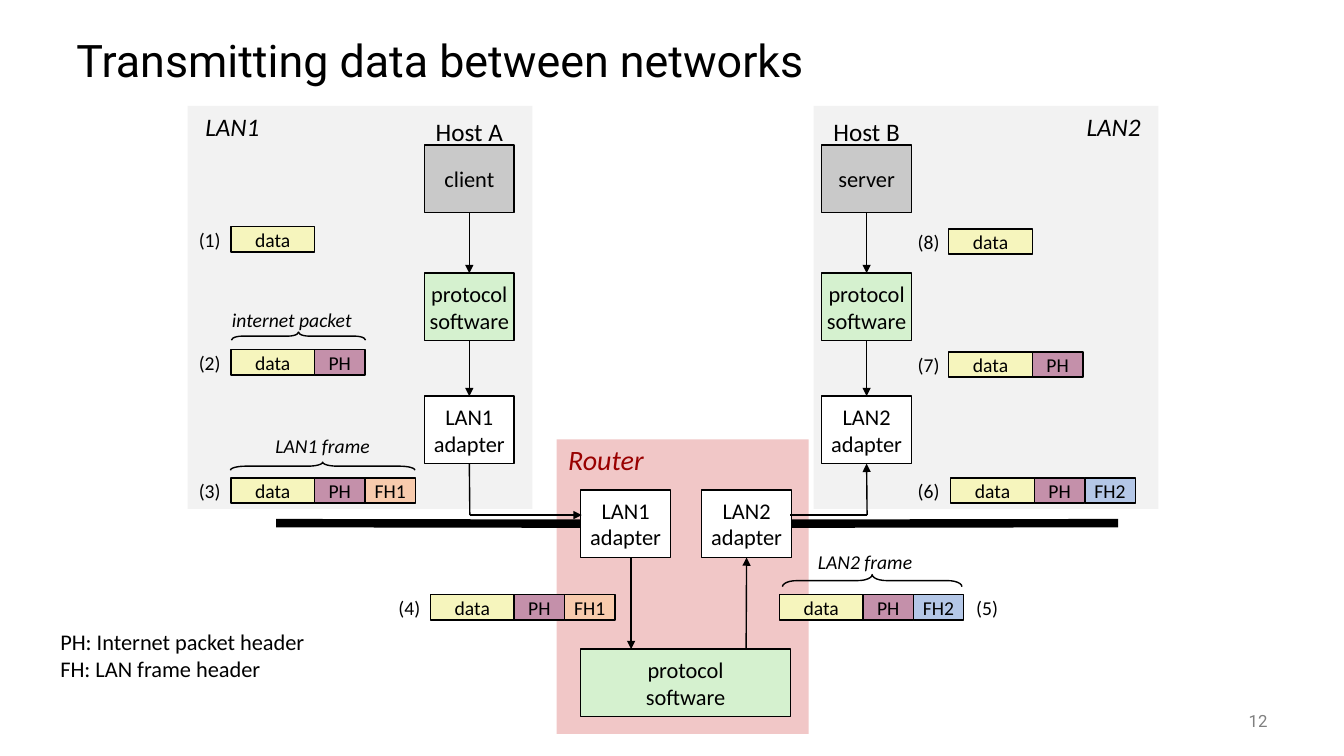
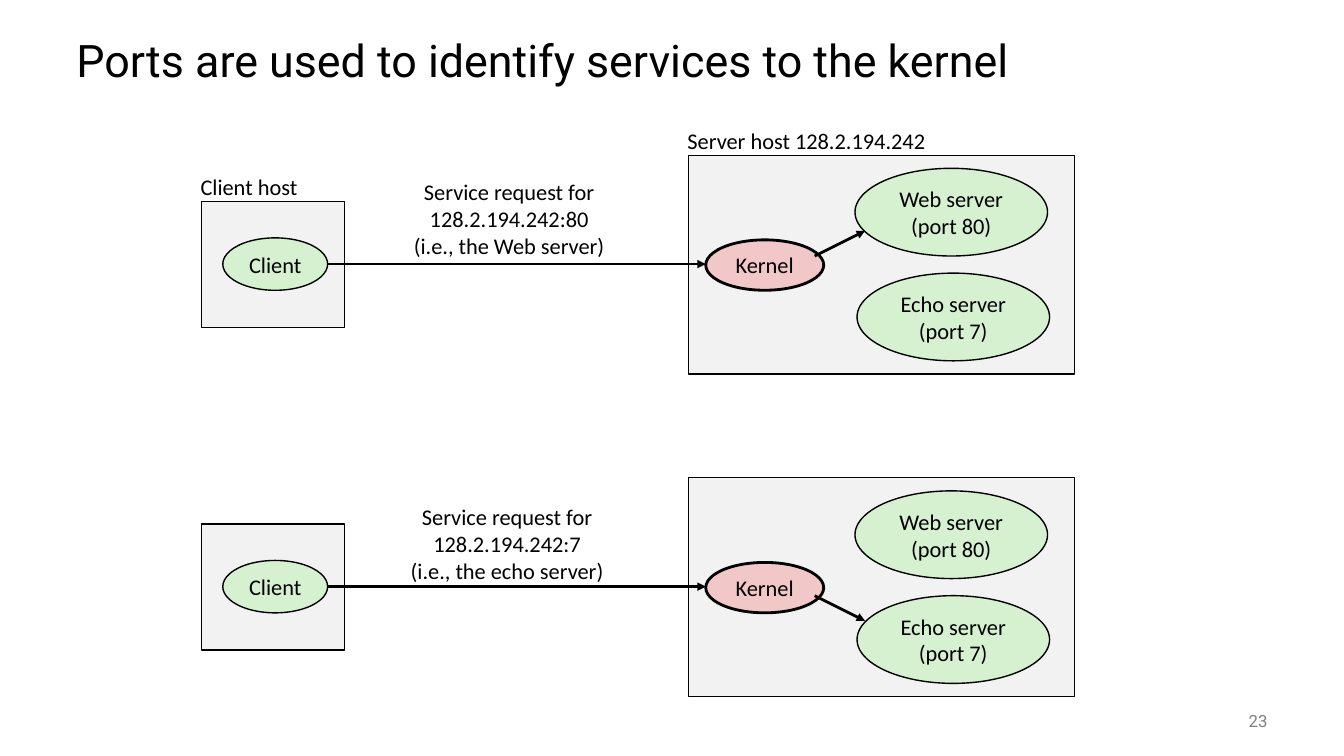
from lxml import etree
from pptx import Presentation
from pptx.dml.color import RGBColor
from pptx.enum.shapes import MSO_CONNECTOR, MSO_SHAPE as SHAPE
from pptx.enum.text import MSO_ANCHOR, PP_ALIGN as ALIGN
from pptx.oxml.ns import qn
from pptx.util import Inches, Pt

BLACK = RGBColor(0x00, 0x00, 0x00)
WHITE = RGBColor(0xFF, 0xFF, 0xFF)
GRAY = RGBColor(0x80, 0x80, 0x80)
PANEL = RGBColor(0xF2, 0xF2, 0xF2)
SILVER = RGBColor(0xC9, 0xC9, 0xC9)
GREEN = RGBColor(0xD5, 0xF1, 0xCF)
PINK = RGBColor(0xF1, 0xC7, 0xC7)
DARK_RED = RGBColor(0x99, 0x00, 0x00)
YELLOW = RGBColor(0xF6, 0xF5, 0xBD)
MAUVE = RGBColor(0xC4, 0x90, 0xAA)
ORANGE = RGBColor(0xF8, 0xCB, 0xAD)
BLUE = RGBColor(0xB4, 0xC7, 0xE7)


def add_box(slide, at, text="", kind=None, fill=None, line=None, size=16, color=BLACK,
            font="Calibri", italic=False, align=ALIGN.CENTER):
    """Add a preset shape, or a text box when no kind is given."""
    frame = [Inches(value) for value in at]
    if kind is None:
        shape = slide.shapes.add_textbox(*frame)
    else:
        shape = slide.shapes.add_shape(kind, *frame)
        shape.shadow.inherit = False
        if fill is None:
            shape.fill.background()
        else:
            shape.fill.solid()
            shape.fill.fore_color.rgb = fill
        if line is None:
            shape.line.fill.background()
        else:
            shape.line.color.rgb = BLACK
            shape.line.width = Pt(line)
    if text:
        text_frame = shape.text_frame
        text_frame.word_wrap = align != ALIGN.CENTER
        text_frame.vertical_anchor = MSO_ANCHOR.MIDDLE
        text_frame.text = text
        for paragraph in text_frame.paragraphs:
            paragraph.alignment = align
            paragraph.font.name = font
            paragraph.font.size = Pt(size)
            paragraph.font.italic = italic
            paragraph.font.color.rgb = color
    return shape


def add_line(slide, start, end, width=1, arrow=True, begin_at=None, end_at=None):
    """Add a straight line; begin_at and end_at are (shape, side) pairs to join."""
    points = [Inches(value) for value in (*start, *end)]
    connector = slide.shapes.add_connector(MSO_CONNECTOR.STRAIGHT, *points)
    if begin_at:
        connector.begin_connect(*begin_at)
    if end_at:
        connector.end_connect(*end_at)
    connector.line.color.rgb = BLACK
    connector.line.width = Pt(width)
    if arrow:
        line_xml = connector.line._get_or_add_ln()
        etree.SubElement(line_xml, qn("a:tailEnd"), type="triangle")
    etree.SubElement(connector._element.spPr, qn("a:effectLst"))


presentation = Presentation()
presentation.slide_width = Inches(13.33)
presentation.slide_height = Inches(7.5)

# Titles and page numbers
slides = []
for title, number in (
    ("Transmitting data between networks", "12"),
    ("Ports are used to identify services to the kernel", "23"),
):
    slide = presentation.slides.add_slide(presentation.slide_layouts[6])
    heading = add_box(slide, (0.66, 0.25, 12, 0.75), title, size=32, font="Roboto",
                      align=ALIGN.LEFT)
    heading.text_frame.paragraphs[0].line_spacing = 0.9
    add_box(slide, (11.67, 6.95, 1, 0.4), number, size=12, color=GRAY, font="Roboto",
            align=ALIGN.RIGHT)
    slides.append(slide)
network_slide, port_slide = slides

# Networks: panels
for left in (1.86, 8.07):
    add_box(network_slide, (left, 1.05, 3.42, 4), kind=SHAPE.RECTANGLE, fill=PANEL)
add_box(network_slide, (5.52, 4.36, 2.5, 2.92), kind=SHAPE.RECTANGLE, fill=PINK)
add_box(network_slide, (5.52, 4.34, 0.98, 0.44), "Router", size=20, color=DARK_RED, italic=True)

# Networks: hosts
BOX_WIDTH, BOX_HEIGHT = 0.89, 0.67
host_adapters = []
for left, host, role, lan, lan_left in (
    (4.21, "Host A", "client", "LAN1", 1.93),
    (8.15, "Host B", "server", "LAN2", 10.67),
):
    add_box(network_slide, (lan_left, 1.05, 0.75, 0.4), lan, size=18, italic=True)
    add_box(network_slide, (left, 1.1, BOX_WIDTH, 0.4), host, size=18)
    above = None
    for top, text, fill in (
        (1.44, role, SILVER),
        (2.71, "protocol\nsoftware", GREEN),
        (3.93, f"{lan}\nadapter", WHITE),
    ):
        box = add_box(network_slide, (left, top, BOX_WIDTH, BOX_HEIGHT), text,
                      SHAPE.RECTANGLE, fill, 1)
        if above:
            add_line(network_slide, (left, top), (left, top), begin_at=(above, 2), end_at=(box, 0))
        above = box
    host_adapters.append(box)

# Networks: router
router_adapters = [
    add_box(network_slide, (left, 4.86, BOX_WIDTH, BOX_HEIGHT), f"{lan}\nadapter",
            SHAPE.RECTANGLE, WHITE, 1)
    for left, lan in ((5.76, "LAN1"), (6.96, "LAN2"))
]
add_box(network_slide, (5.76, 6.44, 2.08, BOX_HEIGHT), "protocol\nsoftware",
        SHAPE.RECTANGLE, GREEN, 1)
add_line(network_slide, (6.26, 5.53), (6.26, 6.44))
add_line(network_slide, (7.4, 6.44), (7.4, 5.53), end_at=(router_adapters[1], 2))

# Networks: cables and the path along them
add_line(network_slide, (2.74, 5.19), (5.76, 5.19), 6, False, end_at=(router_adapters[0], 1))
add_line(network_slide, (7.85, 5.19), (11.09, 5.19), 6, False, begin_at=(router_adapters[1], 3))
add_line(network_slide, (4.66, 4.6), (4.66, 5.11), arrow=False, begin_at=(host_adapters[0], 2))
add_line(network_slide, (4.66, 5.11), (5.77, 5.11))
add_line(network_slide, (7.84, 5.11), (8.6, 5.11), arrow=False)
add_line(network_slide, (8.6, 5.11), (8.6, 4.6), end_at=(host_adapters[1], 2))

# Networks: data units
PARTS = {"data": (0.83, YELLOW), "PH": (0.5, MAUVE), "FH1": (0.5, ORANGE), "FH2": (0.5, BLUE)}
for step, step_left, left, top, parts in (
    (1, 1.86, 2.29, 2.25, ("data",)),
    (2, 1.86, 2.29, 3.47, ("data", "PH")),
    (3, 1.86, 2.29, 4.74, ("data", "PH", "FH1")),
    (4, 3.84, 4.27, 5.9, ("data", "PH", "FH1")),
    (5, 9.57, 7.73, 5.9, ("data", "PH", "FH2")),
    (6, 8.99, 9.43, 4.74, ("data", "PH", "FH2")),
    (7, 8.99, 9.41, 3.49, ("data", "PH")),
    (8, 8.99, 9.41, 2.27, ("data",)),
):
    add_box(network_slide, (step_left, top - 0.04, 0.44, 0.33), f"({step})", size=14)
    for part in parts:
        width, fill = PARTS[part]
        add_box(network_slide, (left, top, width, 0.25), part, SHAPE.RECTANGLE, fill, 1, size=14)
        left += width

# Networks: braces, turned to point up, and their names
for text, text_at, brace_at, curve in (
    ("internet packet", (2.18, 3, 1.43, 0.34), (2.92, 2.67, 0.08, 1.33), 1.33),
    ("LAN1 frame", (2.62, 4.25, 1.16, 0.34), (3.16, 3.71, 0.08, 1.83), 1.83),
    ("LAN2 frame", (8, 5.4, 1.16, 0.34), (8.59, 4.87, 0.12, 1.78), 1.19),
):
    add_box(network_slide, text_at, text, size=14, italic=True)
    brace = add_box(network_slide, brace_at, kind=SHAPE.LEFT_BRACE, line=1)
    brace.rotation = 90
    brace.adjustments[0] = curve
add_box(network_slide, (0.5, 6.18, 2.7, 0.64),
        "PH: Internet packet header\nFH: LAN frame header", align=ALIGN.LEFT)

# Ports: host names
add_box(port_slide, (1.89, 1.67, 1.19, 0.37), "Client host", align=ALIGN.LEFT)
add_box(port_slide, (6.72, 1.21, 2.63, 0.37), "Server host 128.2.194.242", align=ALIGN.LEFT)

# Ports: one request per row
for row_top, port, server, request_at, kernel_y, server_y in (
    (0, 80, "Web", (3.6, 1.72, 2.9, 0.9), 2.54, 2.29),
    (3.2, 7, "echo", (3.58, 4.94, 2.9, 0.9), 5.91, 6.16),
):
    for left, top, width, height in ((2, 2, 1.42, 1.25), (6.83, 1.54, 3.83, 2.17)):
        add_box(port_slide, (left, row_top + top, width, height),
                kind=SHAPE.RECTANGLE, fill=PANEL, line=1)
    for left, top, width, height, text, fill, line in (
        (8.48, 1.67, 1.91, 0.87, "Web server\n(port 80)", GREEN, 1),
        (8.5, 2.71, 1.91, 0.87, "Echo server\n(port 7)", GREEN, 1),
        (7, 2.38, 1.17, 0.5, "Kernel", PINK, 2),
        (2.21, 2.36, 1.04, 0.52, "Client", GREEN, 1),
    ):
        add_box(port_slide, (left, row_top + top, width, height), text, SHAPE.OVAL, fill, line)
    add_line(port_slide, (3.25, row_top + 2.62), (7, row_top + 2.62), 2)
    add_line(port_slide, (8.08, kernel_y), (8.58, server_y), 2)
    add_box(port_slide, request_at,
            f"Service request for\n128.2.194.242:{port}\n(i.e., the {server} server)")

presentation.save("out.pptx")
